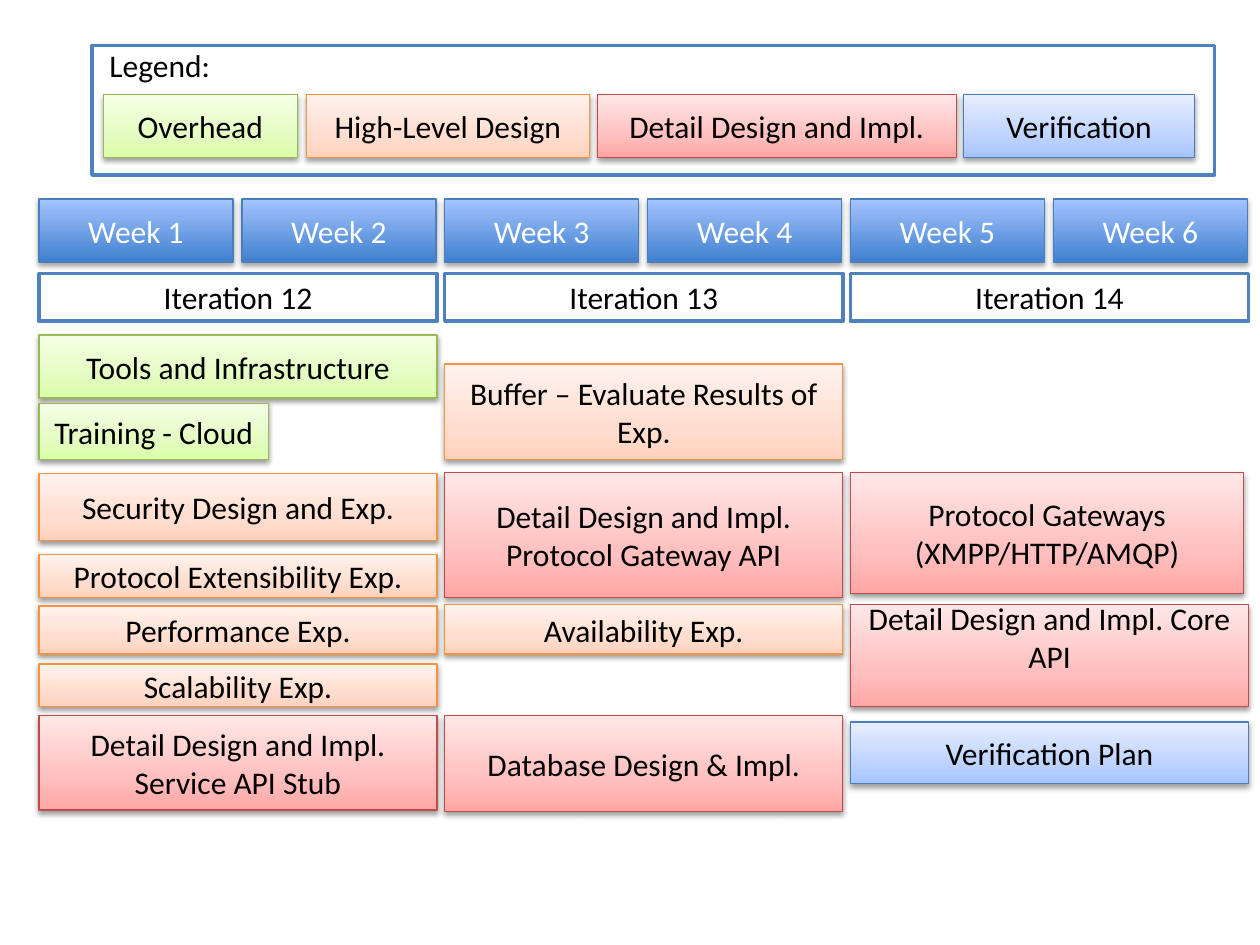
from copy import deepcopy

from lxml import etree
from pptx import Presentation
from pptx.dml.color import RGBColor
from pptx.enum.shapes import MSO_SHAPE as SHAPE
from pptx.enum.text import MSO_ANCHOR as ANCHOR, PP_ALIGN as ALIGN
from pptx.oxml.ns import qn
from pptx.util import Inches, Pt

BLACK = RGBColor(0x00, 0x00, 0x00)
WHITE = RGBColor(0xFF, 0xFF, 0xFF)
FRAME_BLUE = RGBColor(0x4F, 0x81, 0xBD)
LINE_BLUE = RGBColor(0x4B, 0x7E, 0xBC)
LINE_GREEN = RGBColor(0x98, 0xB9, 0x55)
LINE_ORANGE = RGBColor(0xF6, 0x92, 0x40)
LINE_RED = RGBColor(0xBF, 0x4C, 0x48)
BLUE_DEEP = RGBColor(0x3F, 0x80, 0xCE)
BLUE_DARK = RGBColor(0xA4, 0xC4, 0xFF)
BLUE_MID = RGBColor(0xBF, 0xD4, 0xFF)
BLUE_LIGHT = RGBColor(0xE6, 0xEE, 0xFF)
GREEN_DARK = RGBColor(0xDA, 0xFD, 0xA7)
GREEN_MID = RGBColor(0xE4, 0xFC, 0xC2)
GREEN_LIGHT = RGBColor(0xF5, 0xFF, 0xE7)
ORANGE_DARK = RGBColor(0xFF, 0xD2, 0xBD)
ORANGE_MID = RGBColor(0xFF, 0xDE, 0xD0)
ORANGE_LIGHT = RGBColor(0xFF, 0xF2, 0xED)
RED_DARK = RGBColor(0xFF, 0xA6, 0xA5)
RED_MID = RGBColor(0xFF, 0xC0, 0xBF)
RED_LIGHT = RGBColor(0xFF, 0xE7, 0xE7)

WEEK = (LINE_BLUE, [BLUE_DEEP, BLUE_DARK])
OVERHEAD = (LINE_GREEN, [GREEN_DARK, GREEN_MID, GREEN_LIGHT])
HIGH_LEVEL = (LINE_ORANGE, [ORANGE_DARK, ORANGE_MID, ORANGE_LIGHT])
DETAIL = (LINE_RED, [RED_DARK, RED_MID, RED_LIGHT])
VERIFICATION = (LINE_BLUE, [BLUE_DARK, BLUE_MID, BLUE_LIGHT])
FRAME = (FRAME_BLUE, [WHITE])

prs = Presentation()
prs.slide_width, prs.slide_height = Inches(10), Inches(7.5)
slide = prs.slides.add_slide(prs.slide_layouts[6])


def set_text(s, text, color, align):
    p = s.text_frame.paragraphs[0]
    p.text = text
    p.alignment = align
    p.font.size = Pt(18)
    p.font.name = "Calibri"
    p.font.color.rgb = color


def add_box(text, x, y, w, h, style):
    line, colors = style
    s = slide.shapes.add_shape(SHAPE.RECTANGLE, Inches(x), Inches(y), Inches(w), Inches(h))
    s.shadow.inherit = False
    s.line.color.rgb = line
    s.line.width = Pt(2 if style is FRAME else 0.75)
    if style is FRAME:
        s.fill.solid()
        s.fill.fore_color.rgb = WHITE
    else:
        s.fill.gradient()
        s.fill.gradient_angle = 90
        spPr = s._element.spPr
        stops = spPr.find(qn("a:gradFill")).find(qn("a:gsLst"))
        if len(colors) == 3:
            stops.insert(1, deepcopy(stops[0]))
            stops[1].set("pos", "35000")
        for stop, color in zip(s.fill.gradient_stops, colors):
            stop.color.rgb = color
        dist, alpha = ("23000", "35000") if style is WEEK else ("20000", "38000")
        shadow = etree.SubElement(spPr.find(qn("a:effectLst")), qn("a:outerShdw"),
                                  blurRad="40000", dist=dist, dir="5400000", rotWithShape="0")
        black = etree.SubElement(shadow, qn("a:srgbClr"), val="000000")
        etree.SubElement(black, qn("a:alpha"), val=alpha)
    s.text_frame.word_wrap = True
    s.text_frame.vertical_anchor = ANCHOR.MIDDLE
    if text:
        set_text(s, text, WHITE if style is WEEK else BLACK, ALIGN.CENTER)
    return s


add_box("", 0.73, 0.36, 8.91, 1.03, FRAME)
for text, x, w, style in [
    ("Overhead", 0.82, 1.54, OVERHEAD),
    ("High-Level Design", 2.43, 2.25, HIGH_LEVEL),
    ("Detail Design and Impl.", 4.74, 2.85, DETAIL),
    ("Verification", 7.65, 1.83, VERIFICATION),
]:
    add_box(text, x, 0.75, w, 0.5, style)

s = slide.shapes.add_textbox(Inches(0.77), Inches(0.32), Inches(1.01), Inches(0.4))
s.text_frame.word_wrap = False
set_text(s, "Legend:", BLACK, ALIGN.LEFT)

for i in range(6):
    add_box(f"Week {i + 1}", 0.31 + 1.61 * i, 1.58, 1.54, 0.5, WEEK)

columns = [0.31, 3.53, 6.75]
for i, x in enumerate(columns):
    add_box(f"Iteration {12 + i}", x, 2.17, 3.16, 0.38, FRAME)

for text, column, y, w, h, style in [
    ("Tools and Infrastructure", 0, 2.66, 3.16, 0.5, OVERHEAD),
    ("Training - Cloud", 0, 3.2, 1.82, 0.45, OVERHEAD),
    ("Security Design and Exp.", 0, 3.76, 3.16, 0.53, HIGH_LEVEL),
    ("Protocol Extensibility Exp.", 0, 4.4, 3.16, 0.34, HIGH_LEVEL),
    ("Performance Exp.", 0, 4.81, 3.16, 0.38, HIGH_LEVEL),
    ("Scalability Exp.", 0, 5.27, 3.16, 0.34, HIGH_LEVEL),
    ("Detail Design and Impl. Service API Stub", 0, 5.68, 3.16, 0.75, DETAIL),
    ("Buffer – Evaluate Results of Exp.", 1, 2.89, 3.16, 0.76, HIGH_LEVEL),
    ("Detail Design and Impl. Protocol Gateway API", 1, 3.75, 3.16, 0.99, DETAIL),
    ("Availability Exp.", 1, 4.8, 3.16, 0.39, HIGH_LEVEL),
    ("Database Design & Impl.", 1, 5.68, 3.16, 0.76, DETAIL),
    ("Protocol Gateways (XMPP/HTTP/AMQP)", 2, 3.75, 3.12, 0.96, DETAIL),
    ("Verification Plan", 2, 5.73, 3.16, 0.49, VERIFICATION),
]:
    add_box(text, columns[column], y, w, h, style)

s = add_box("Detail Design and Impl. Core API", columns[2], 4.8, 3.16, 0.81, DETAIL)
s.text_frame.margin_bottom = Inches(0.35)

prs.save("out.pptx")
